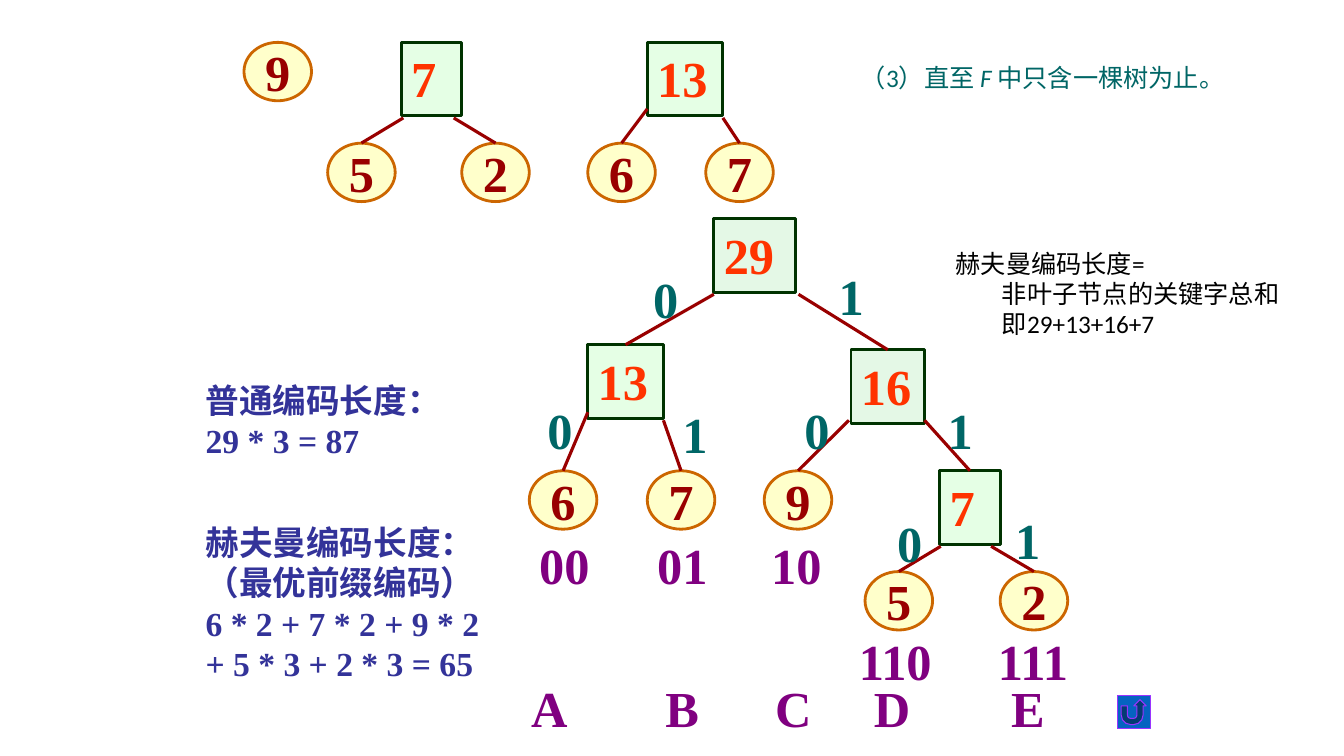
"""Build the slide that finishes a Huffman tree and compares code lengths."""
from lxml import etree
from pptx import Presentation
from pptx.dml.color import RGBColor
from pptx.enum.shapes import MSO_CONNECTOR, MSO_SHAPE
from pptx.enum.text import MSO_ANCHOR, PP_ALIGN
from pptx.oxml.ns import qn
from pptx.util import Inches, Pt

OVAL, RECT = MSO_SHAPE.OVAL, MSO_SHAPE.RECTANGLE
RETURN = MSO_SHAPE.ACTION_BUTTON_RETURN
STRAIGHT = MSO_CONNECTOR.STRAIGHT
TOP, MIDDLE = MSO_ANCHOR.TOP, MSO_ANCHOR.MIDDLE
LEFT, CENTER = PP_ALIGN.LEFT, PP_ALIGN.CENTER
SERIF, SANS = "Times New Roman", "Calibri"
TEAL, PURPLE, NAVY = "006666", "800080", "333399"

prs = Presentation()
prs.slide_width, prs.slide_height = Inches(13.33), Inches(7.5)
s = prs.slides.add_slide(prs.slide_layouts[6])


def add_run(p, text, size, color, font=SERIF, bold=True, italic=False):
    r = p.add_run()
    r.text = text
    r.font.size, r.font.name = Pt(size), font
    r.font.bold, r.font.italic = bold, italic
    r.font.color.rgb = RGBColor.from_string(color)


def add_filled(kind, x, y, w, h, fill, line, width):
    sp = s.shapes.add_shape(kind, Inches(x), Inches(y), Inches(w), Inches(h))
    sp.shadow.inherit = False
    sp.fill.solid()
    sp.fill.fore_color.rgb = RGBColor.from_string(fill)
    sp.line.color.rgb = RGBColor.from_string(line)
    sp.line.width = Pt(width)
    return sp


# leaves: name, left, top, weight
leaves = [
    ("top9", 2.42, 0.42, "9"), ("top5", 3.25, 1.42, "5"), ("top2", 4.58, 1.42, "2"),
    ("top6", 5.83, 1.42, "6"), ("top7", 7, 1.42, "7"),
    ("A", 5.25, 4.67, "6"), ("B", 6.42, 4.67, "7"), ("C", 7.58, 4.67, "9"),
    ("D", 8.58, 5.67, "5"), ("E", 9.92, 5.67, "2"),
]
# inner nodes: name, left, top, width, fill, weight
inner = [
    ("top_sum7", 3.98, 0.42, 0.6, "CCFFCC", "7"),
    ("top_sum13", 6.42, 0.42, 0.75, "CCFFCC", "13"),
    ("root", 7.08, 2.17, 0.81, "CAF2CE", "29"),
    ("sum13", 5.83, 3.42, 0.75, "CCFFCC", "13"),
    ("sum16", 8.44, 3.47, 0.73, "CAF2CE", "16"),
    ("sum7", 9.32, 4.67, 0.6, "CCFFCC", "7"),
]
nodes = [(name, OVAL, x, y, 0.67, 0.58, "FFFF99", "CC6600", "990000", text)
         for name, x, y, text in leaves]
nodes += [(name, RECT, x, y, w, 0.73, fill, "003300", "FF3300", text)
          for name, x, y, w, fill, text in inner]

shapes = {}
for name, kind, x, y, w, h, fill, line, color, text in nodes:
    sp = add_filled(kind, x, y, w, h, fill, line, 2)
    clr = sp.fill._xPr.find(qn("a:solidFill"))[0]
    etree.SubElement(clr, qn("a:alpha")).set("val", "50000")
    tf = sp.text_frame
    tf.word_wrap = kind == RECT
    tf.vertical_anchor = TOP if kind == RECT else MIDDLE
    p = tf.paragraphs[0]
    p.alignment = LEFT if kind == RECT else CENTER
    add_run(p, text, 36, color)
    shapes[name] = sp

# branches: start point under the parent, child joined at its top
branches = [
    (4, 1.17, "top5"), (4.5, 1.17, "top2"), (6.42, 1.08, "top6"), (7.17, 1.17, "top7"),
    (7.08, 2.92, "sum13"), (7.92, 2.92, "sum16"),
    (5.83, 4.09, "A"), (6.58, 4.17, "B"), (8.42, 4.17, "C"), (9.17, 4.17, "sum7"),
    (9.33, 5.42, "D"), (9.83, 5.42, "E"),
]
for x, y, child in branches:
    cn = s.shapes.add_connector(STRAIGHT, Inches(x), Inches(y), Inches(x), Inches(y))
    cn.end_connect(shapes[child], 0)
    cn.line.color.rgb = RGBColor.from_string("990000")
    cn.line.width = Pt(2.25)
    etree.SubElement(cn._element.spPr, qn("a:effectLst"))

# labels: text, left, top, width, colour
labels = [(bit, x, y, 0.45, TEAL) for bit, x, y in [
    ("0", 6.38, 2.61), ("0", 5.33, 3.91), ("0", 7.88, 3.91), ("0", 8.8, 5.03),
    ("1", 8.22, 2.58), ("1", 6.67, 3.95), ("1", 9.3, 3.91), ("1", 9.97, 5)]]
labels += [(code, x, y, w, PURPLE) for code, x, y, w in [
    ("00", 5.25, 5.25, 0.7), ("01", 6.42, 5.25, 0.7), ("10", 7.55, 5.25, 0.7),
    ("110", 8.42, 6.2, 0.95), ("111", 9.8, 6.2, 0.9)]]
for text, x, y, w, color in labels:
    tf = s.shapes.add_textbox(Inches(x), Inches(y), Inches(w), Inches(0.7)).text_frame
    tf.word_wrap = False
    add_run(tf.paragraphs[0], text, 36, color)

add_filled(RETURN, 11.08, 6.9, 0.33, 0.33, "0563C1", "9933FF", 0.75)

tf = s.shapes.add_textbox(Inches(5.17), Inches(6.67), Inches(5.33), Inches(0.7)).text_frame
tf.word_wrap = True
p = tf.paragraphs[0]
tabs = etree.SubElement(p._p.get_or_add_pPr(), qn("a:tabLst"))
for stop in (1.33, 2.42, 3.4, 4.76):
    etree.SubElement(tabs, qn("a:tab"), pos=str(Inches(stop)), algn="l")
add_run(p, "A\tB\tC\tD\tE", 36, PURPLE)

# notes: left, top, width, height, size, colour, font, bold, indent after first line, lines
notes = [
    (1.94, 3.72, 2.99, 0.91, 24, NAVY, SERIF, True, 0, ["普通编码长度：", "29 * 3 = 87"]),
    (1.94, 5.13, 2.99, 1.72, 24, NAVY, SERIF, True, 0,
     ["赫夫曼编码长度：", "（最优前缀编码）", "6 * 2 + 7 * 2 + 9 * 2 + 5 * 3 + 2 * 3 = 65"]),
    (9.38, 2.41, 3.44, 1.01, 18, "000000", SANS, False, 0.46,
     ["赫夫曼编码长度=", "非叶子节点的关键字总和", "即29+13+16+7"]),
]
for x, y, w, h, size, color, font, bold, indent, lines in notes:
    tf = s.shapes.add_textbox(Inches(x), Inches(y), Inches(w), Inches(h)).text_frame
    tf.word_wrap = True
    for i, text in enumerate(lines):
        p = tf.add_paragraph() if i else tf.paragraphs[0]
        if i and indent:
            p._p.get_or_add_pPr().set("marL", str(Inches(indent)))
        add_run(p, text, size, color, font, bold)

tf = s.shapes.add_textbox(Inches(8.44), Inches(0.45), Inches(4.8), Inches(0.53)).text_frame
tf.word_wrap = True
p = tf.paragraphs[0]
p.line_spacing = 1.4
for text, italic in [("（3）直至 ", False), ("F ", True), ("中只含一棵树为止。", False)]:
    add_run(p, text, 18, TEAL, SANS, False, italic)

prs.save("out.pptx")
